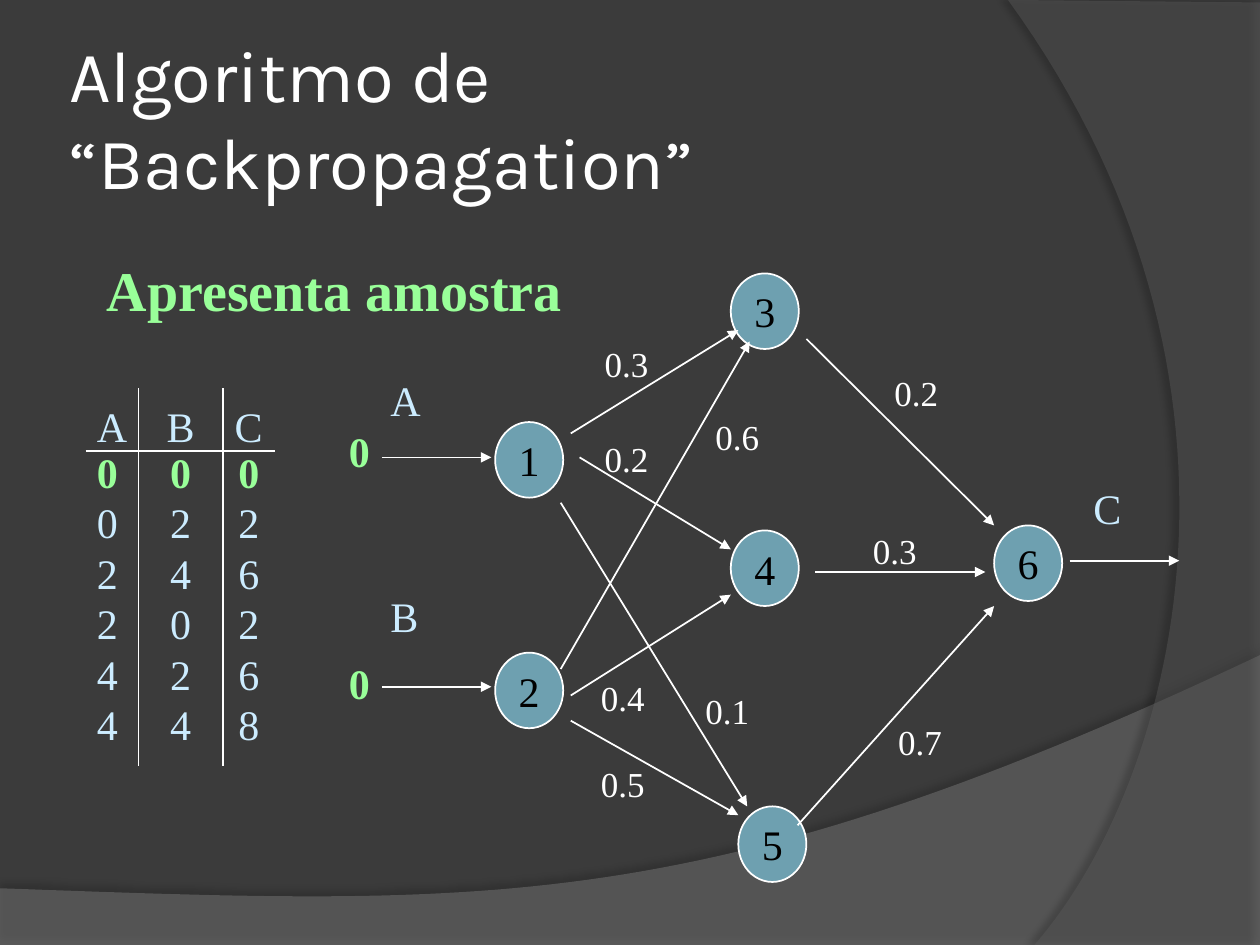
from dataclasses import dataclass

from lxml import etree
from pptx import Presentation
from pptx.dml.color import RGBColor
from pptx.enum.shapes import MSO_CONNECTOR, MSO_SHAPE
from pptx.enum.text import MSO_ANCHOR, MSO_AUTO_SIZE, PP_ALIGN
from pptx.oxml.ns import qn
from pptx.util import Inches, Pt

LINE, OVAL = MSO_CONNECTOR.STRAIGHT, MSO_SHAPE.OVAL
LEFT, CENTER = PP_ALIGN.LEFT, PP_ALIGN.CENTER
TOP, MIDDLE, BOTTOM = MSO_ANCHOR.TOP, MSO_ANCHOR.MIDDLE, MSO_ANCHOR.BOTTOM
FIT, FIXED = MSO_AUTO_SIZE.SHAPE_TO_FIT_TEXT, MSO_AUTO_SIZE.NONE

HEX = {"back": "3B3B3B", "floor": "7F7F7F", "side": "5E5E5E", "node": "6EA0B0",
       "white": "FFFFFF", "black": "000000", "ice": "CCECFF", "green": "99FF99"}
SERIF, SANS = "Times New Roman", "Karla"

# The slide is a grid of 100 columns by 75 rows
WIDE, HIGH = Inches(10), Inches(7.5)
COLS, ROWS = 100, 75


@dataclass
class Node:
    name: str
    x: float
    y: float


@dataclass
class Arrow:
    x1: float
    y1: float
    x2: float
    y2: float


@dataclass
class Label:
    text: str
    x: float
    y: float
    width: float = 5.5
    height: float = 4.3
    size: float = 20
    tint: str = "white"
    bold: bool = False


@dataclass
class Sheet:
    start: list
    curve: list
    tint: str
    alpha: int
    shade: int
    angle: int


SHEETS = [
    Sheet([(0, 70.5), (0, 75), (100, 75)],
          [(100, 52), (55.9, 72.9), (39.1, 71.9), (0, 70.5)], "floor", 45, 35, 270),
    Sheet([(100, 0.2), (100, 75)],
          [(82.1, 75), (93.5, 61.9), (101.8, 30), (80, 0)], "side", 40, 45, 180),
]
NODES = [Node("1", 39.3, 33.5), Node("2", 39.3, 51.8), Node("3", 58, 21.7),
         Node("4", 58, 42.1), Node("5", 58.6, 64), Node("6", 78.9, 41.7)]
ARROWS = [
    Arrow(30.3, 36.3, 39, 36.3), Arrow(30.3, 54.5, 39, 54.5),
    Arrow(45.3, 34.4, 58.6, 26.2), Arrow(46, 36.3, 58, 43.6),
    Arrow(44.5, 39.9, 59.3, 64), Arrow(44.5, 53.1, 59.5, 27.1),
    Arrow(45.3, 55.2, 58, 47.2), Arrow(45.3, 57.2, 58.6, 64.7),
    Arrow(64, 26.9, 78.9, 41.7), Arrow(64.7, 45.4, 78.2, 45.4),
    Arrow(63.3, 65.5, 78.9, 48.1), Arrow(84.9, 44.5, 93.6, 44.5),
]
WEIGHTS = [Label("0.3", 47, 26.7), Label("0.2", 47, 34.2), Label("0.5", 46.7, 60),
           Label("0.6", 55.8, 32.5), Label("0.1", 55, 54.2), Label("0.4", 46.7, 53.2),
           Label("0.2", 70, 29), Label("0.3", 68.3, 41.5), Label("0.7", 70.3, 56.7)]
PORTS = [Label(name, x, y, 4.3, 5, 24, "ice")
         for name, x, y in (("A", 30, 29.2), ("B", 30, 46.4), ("C", 85.8, 37.8))]
INPUTS = [Label("0", 26.7, y, 3.7, 5, 24, "green", True) for y in (33.3, 51.7)]
HEADING = Label("Apresenta amostra", 7.5, 19.8, 38.2, 6.3, 32, "green", True)

SAMPLES = ["ABC", "000", "022", "246", "202", "426", "448"]
WIDTHS = [4.2, 6.7, 4.1]
HEIGHTS = [5] + [4] * 5 + [5]


def across(cols: float) -> int:
    return round(WIDE * cols / COLS)


def down(rows: float) -> int:
    return round(HIGH * rows / ROWS)


def color(name: str) -> RGBColor:
    return RGBColor.from_string(HEX[name])


def style(frame, size: float, tint: str, bold=False, face=SERIF, align=LEFT) -> None:
    for para in frame.paragraphs:
        para.alignment = align
        for run in para.runs:
            run.font.name, run.font.size, run.font.bold = face, Pt(size), bold
            run.font.color.rgb = color(tint)


def child(parent, tag: str, **attrs):
    return etree.SubElement(parent, qn(tag), {k: str(v) for k, v in attrs.items()})


def add_sheet(shapes, sheet: Sheet, depth: int) -> None:
    a, b, c, d = sheet.curve
    steps = [i / 60 for i in range(61)]
    bend = [tuple((1 - t) ** 3 * p + 3 * (1 - t) ** 2 * t * q
                  + 3 * (1 - t) * t ** 2 * r + t ** 3 * s
                  for p, q, r, s in zip(a, b, c, d)) for t in steps]
    points = [(across(x), down(y)) for x, y in sheet.start + bend]
    form = shapes.build_freeform(*points[0])
    form.add_line_segments(points[1:], close=True)
    shape = form.convert_to_shape()
    shape.fill.solid()
    shape.fill.fore_color.rgb = color(sheet.tint)
    shape.line.fill.background()
    fill = shape._element.spPr.find(qn("a:solidFill"))
    child(fill[0], "a:alpha", val=sheet.alpha * 1000)
    # Soft shadow along the curved edge
    glow = child(child(shape._element.spPr, "a:effectLst"), "a:outerShdw",
                 blurRad=Pt(4), dist=Pt(4), dir=sheet.angle * 60000, rotWithShape=0)
    child(child(glow, "a:srgbClr", val=HEX["black"]), "a:alpha", val=sheet.shade * 1000)
    shapes._spTree.insert(2 + depth, shape._element)


def add_node(shapes, node: Node) -> None:
    oval = shapes.add_shape(OVAL, across(node.x), down(node.y), across(5.4), down(6))
    oval.shadow.inherit = False
    oval.fill.solid()
    oval.fill.fore_color.rgb = color("node")
    oval.line.color.rgb, oval.line.width = color("white"), Pt(1)
    frame = oval.text_frame
    frame.margin_left = frame.margin_right = frame.margin_top = frame.margin_bottom = 0
    frame.text, frame.vertical_anchor = node.name, MIDDLE
    style(frame, 24, "black", align=CENTER)


def add_arrow(shapes, arrow: Arrow) -> None:
    link = shapes.add_connector(LINE, across(arrow.x1), down(arrow.y1),
                                across(arrow.x2), down(arrow.y2))
    link.line.color.rgb, link.line.width = color("white"), Pt(1)
    child(link.line._get_or_add_ln(), "a:tailEnd", type="triangle")
    child(link._element.spPr, "a:effectLst")


def add_label(shapes, label: Label) -> None:
    box = shapes.add_textbox(across(label.x), down(label.y),
                             across(label.width), down(label.height))
    frame = box.text_frame
    frame.text, frame.word_wrap, frame.auto_size = label.text, False, FIT
    style(frame, label.size, label.tint, label.bold)


def rule_cell(cell, drawn: dict) -> None:
    props = cell._tc.get_or_add_tcPr()
    for spot, (side, shown) in enumerate(drawn.items()):
        edge = etree.Element(qn(f"a:ln{side}"), w=str(Pt(1)))
        if shown:
            child(child(edge, "a:solidFill"), "a:srgbClr", val=HEX["white"])
        else:
            child(edge, "a:noFill")
        props.insert(spot, edge)


def add_samples(shapes) -> None:
    table = shapes.add_table(len(SAMPLES), len(WIDTHS), across(6.8), down(30.8),
                             across(sum(WIDTHS)), down(sum(HEIGHTS))).table
    table.first_row = table.horz_banding = False
    for i, width in enumerate(WIDTHS):
        table.columns[i].width = across(width)
    for j, (line, height) in enumerate(zip(SAMPLES, HEIGHTS)):
        table.rows[j].height = down(height)
        for i, value in enumerate(line):
            cell = table.cell(j, i)
            cell.fill.background()
            cell.margin_left = across(0 if i else 0.9)
            cell.margin_right = cell.margin_top = cell.margin_bottom = 0
            cell.vertical_anchor = TOP if j else BOTTOM
            cell.text_frame.text = value
            style(cell.text_frame, 24, "green" if j == 1 else "ice", j == 1,
                  align=CENTER if i else LEFT)
            rule_cell(cell, {"L": i > 0, "R": i < 2, "T": j == 1, "B": j == 0})


def main() -> None:
    deck = Presentation()
    deck.slide_width, deck.slide_height = WIDE, HIGH
    slide = deck.slides.add_slide(deck.slide_layouts[5])
    shapes = slide.shapes

    # Backdrop
    slide.background.fill.solid()
    slide.background.fill.fore_color.rgb = color("back")
    for depth, sheet in enumerate(SHEETS):
        add_sheet(shapes, sheet, depth)

    # Title
    title = shapes.title
    title.left, title.top = across(5), down(3)
    title.width, title.height = across(81.7), down(12.5)
    frame = title.text_frame
    frame.text, frame.word_wrap, frame.auto_size = "Algoritmo de “Backpropagation”", True, FIXED
    frame.vertical_anchor = MIDDLE
    frame.margin_left = frame.margin_right = across(0.5)
    style(frame, 41.4, "white", face=SANS)

    # Samples and network
    add_samples(shapes)
    for node in NODES:
        add_node(shapes, node)
    for arrow in ARROWS:
        add_arrow(shapes, arrow)
    for label in [HEADING, *PORTS, *INPUTS, *WEIGHTS]:
        add_label(shapes, label)

    deck.save("out.pptx")


if __name__ == "__main__":
    main()
